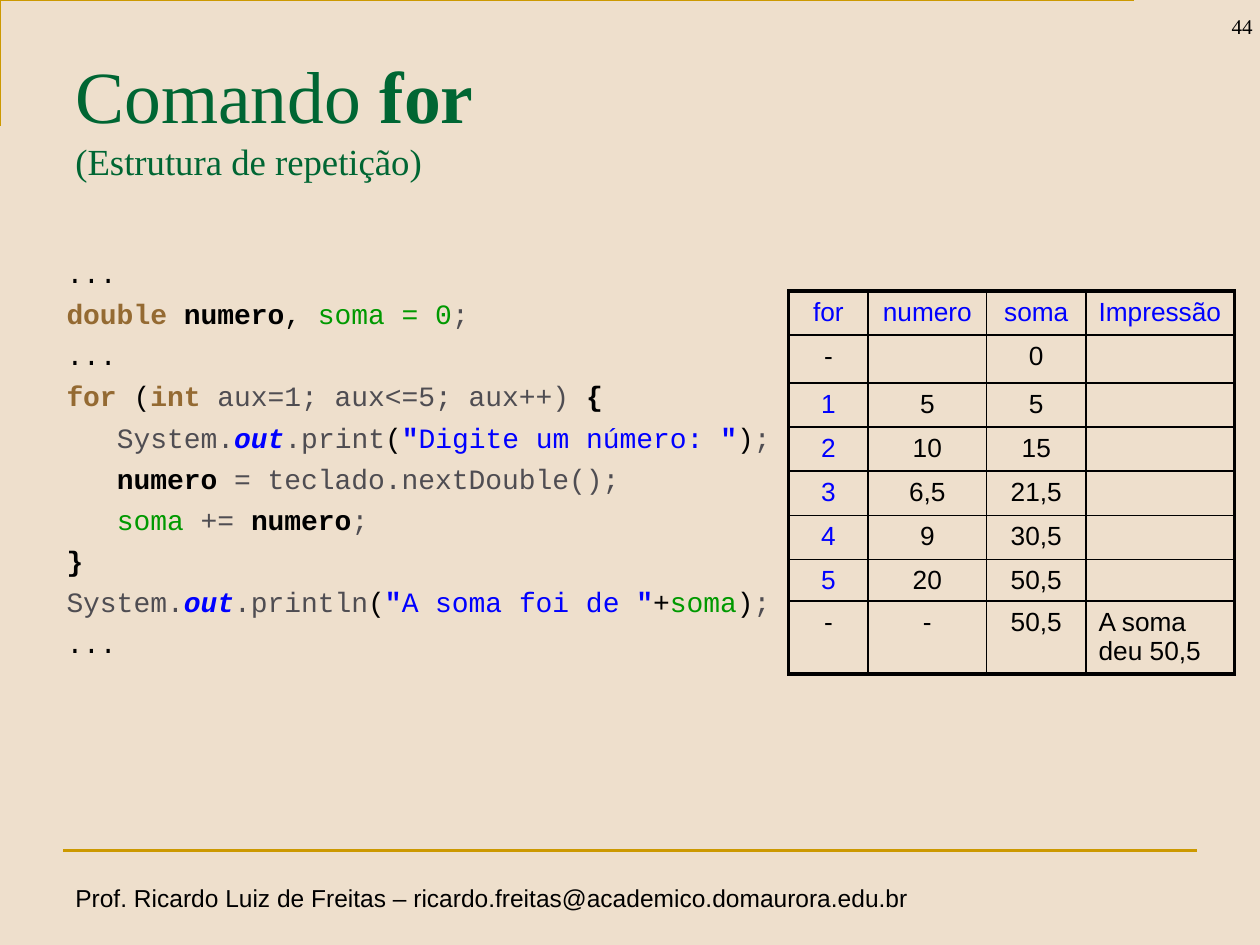
from typing import NamedTuple

from lxml import etree
from pptx import Presentation
from pptx.dml.color import RGBColor
from pptx.enum.shapes import MSO_CONNECTOR
from pptx.enum.text import MSO_ANCHOR, PP_ALIGN
from pptx.oxml.ns import qn
from pptx.util import Inches, Pt

BACKGROUND = RGBColor(0xEE, 0xDF, 0xCC)
GOLD = RGBColor(0xCC, 0x99, 0x00)
GREEN = RGBColor(0x00, 0x66, 0x33)
BLACK = RGBColor(0x00, 0x00, 0x00)
BROWN = RGBColor(0x94, 0x6A, 0x32)
LIME = RGBColor(0x00, 0x99, 0x00)
GRAY = RGBColor(0x4F, 0x4D, 0x52)
BLUE = RGBColor(0x00, 0x00, 0xFF)

STRAIGHT = MSO_CONNECTOR.STRAIGHT
TOP, MIDDLE, BOTTOM = MSO_ANCHOR.TOP, MSO_ANCHOR.MIDDLE, MSO_ANCHOR.BOTTOM
LEFT, CENTER, RIGHT = PP_ALIGN.LEFT, PP_ALIGN.CENTER, PP_ALIGN.RIGHT


class Style(NamedTuple):
    color: RGBColor
    bold: bool = False
    italic: bool = False


class Span(NamedTuple):
    text: str
    style: Style


class CodeLine(NamedTuple):
    spans: list[Span]
    indent: float = 0


PLAIN = Style(BLACK)
STRONG = Style(BLACK, bold=True)
KEYWORD = Style(BROWN, bold=True)
CODE = Style(GRAY)
TOTAL = Style(LIME)
FIELD = Style(BLUE, bold=True, italic=True)
QUOTE = Style(BLUE, bold=True)
STRING = Style(BLUE)

INDENT = 0.4
ELLIPSIS = CodeLine([Span("...", PLAIN)])


def print_call(method: str, message: str) -> list[Span]:
    return [Span("System.", CODE), Span("out", FIELD), Span(method, CODE),
            Span("(", PLAIN), Span('"', QUOTE), Span(message, STRING), Span('"', QUOTE)]


CODE_LINES = [
    ELLIPSIS,
    CodeLine([Span("double ", KEYWORD), Span("numero", STRONG), Span(", ", PLAIN),
              Span("soma = 0", TOTAL), Span(";", CODE)]),
    ELLIPSIS,
    CodeLine([Span("for", KEYWORD), Span(" (", PLAIN), Span("int ", KEYWORD),
              Span("aux=1; aux<=5; aux++) ", CODE), Span("{", STRONG)]),
    CodeLine(print_call(".print", "Digite um número: ")
             + [Span(")", PLAIN), Span(";", CODE)], INDENT),
    CodeLine([Span("numero", STRONG), Span(" = teclado.nextDouble();", CODE)], INDENT),
    CodeLine([Span("soma ", TOTAL), Span("+= ", CODE), Span("numero", STRONG),
              Span(";", CODE)], INDENT),
    CodeLine([Span("}", STRONG)]),
    CodeLine(print_call(".println", "A soma foi de ")
             + [Span("+", PLAIN), Span("soma", TOTAL), Span(")", PLAIN), Span(";", CODE)]),
    ELLIPSIS,
]

TRACE = [
    ("for", "numero", "soma", "Impressão"),
    ("-", "", "0", ""),
    ("1", "5", "5", ""),
    ("2", "10", "15", ""),
    ("3", "6,5", "21,5", ""),
    ("4", "9", "30,5", ""),
    ("5", "20", "50,5", ""),
    ("-", "-", "50,5", "A soma deu 50,5"),
]
COLUMN_WIDTHS = [0.63, 0.94, 0.79, 1.18]
ROW_HEIGHTS = [0.35, 0.38, 0.35, 0.35, 0.35, 0.35, 0.33, 0.56]


def add_frame(s, left: float, top: float, width: float, height: float,
              anchor=TOP, wrap: bool = True):
    tf = s.shapes.add_textbox(Inches(left), Inches(top), Inches(width), Inches(height)).text_frame
    tf.word_wrap = wrap
    tf.vertical_anchor = anchor
    return tf


def set_font(p, name: str, size: float, color: RGBColor = BLACK) -> None:
    p.font.name = name
    p.font.size = Pt(size)
    p.font.color.rgb = color


def add_span(p, span: Span) -> None:
    r = p.add_run()
    r.text = span.text
    r.font.color.rgb = span.style.color
    r.font.bold = span.style.bold
    r.font.italic = span.style.italic


def add_label(tf, text: str, name: str, size: float, align=LEFT) -> None:
    p = tf.paragraphs[0]
    p.text = text
    p.alignment = align
    set_font(p, name, size)


def add_rules(s) -> None:
    builder = s.shapes.build_freeform(0.42, 0.92, scale=Inches(1))
    builder.add_line_segments([(0.42, 0.25), (9.42, 0.25)], close=False)
    corner = builder.convert_to_shape()
    corner.shadow.inherit = False
    corner.fill.background()
    footer_rule = s.shapes.add_connector(
        STRAIGHT, Inches(0.5), Inches(6.75), Inches(9.5), Inches(6.75))
    etree.SubElement(footer_rule._element.spPr, qn("a:effectLst"))
    for rule in (corner, footer_rule):
        rule.line.color.rgb = GOLD
        rule.line.width = Pt(1.5)


def add_title(s) -> None:
    p = add_frame(s, 0.5, 0.3, 9, 1.25, MIDDLE).paragraphs[0]
    set_font(p, "Times New Roman", 42, GREEN)
    add_span(p, Span("Comando ", Style(GREEN)))
    add_span(p, Span("for", Style(GREEN, bold=True)))
    p.add_line_break()
    add_span(p, Span("(Estrutura de repetição)", Style(GREEN)))
    p.runs[-1].font.size = Pt(21)


def add_code(s) -> None:
    tf = add_frame(s, 0.43, 1.98, 5.83, 3.97)
    for i, line in enumerate(CODE_LINES):
        p = tf.add_paragraph() if i else tf.paragraphs[0]
        p.space_before = Pt(4.3)
        set_font(p, "Courier New", 16)
        p._p.get_or_add_pPr().set("marL", str(Inches(line.indent)))
        for span in line.spans:
            add_span(p, span)


def set_border(cell, side: str, width: float) -> None:
    ln = etree.SubElement(cell._tc.get_or_add_tcPr(), qn(f"a:ln{side}"), w=str(Pt(width)))
    fill = etree.SubElement(ln, qn("a:solidFill"))
    etree.SubElement(fill, qn("a:srgbClr"), val=str(BLACK))


def add_trace_table(s) -> None:
    last_row, last_col = len(ROW_HEIGHTS) - 1, len(COLUMN_WIDTHS) - 1
    table = s.shapes.add_table(
        len(ROW_HEIGHTS), len(COLUMN_WIDTHS), Inches(6.26), Inches(2.31),
        Inches(sum(COLUMN_WIDTHS)), Inches(sum(ROW_HEIGHTS))).table
    table.first_row = table.horz_banding = False
    for column, width in zip(table.columns, COLUMN_WIDTHS):
        column.width = Inches(width)
    for row, height in zip(table.rows, ROW_HEIGHTS):
        row.height = Inches(height)
    for i, values in enumerate(TRACE):
        for j, value in enumerate(values):
            cell = table.cell(i, j)
            cell.margin_top, cell.margin_bottom = Inches(0.05), Inches(0.03)
            outer = {"L": j == 0, "R": j == last_col, "T": i == 0, "B": i == last_row}
            for side, is_outer in outer.items():
                set_border(cell, side, 2.25 if is_outer else 1)
            cell.fill.background()
            p = cell.text_frame.paragraphs[0]
            p.alignment = LEFT if j == last_col else CENTER
            is_blue = i == 0 or (j == 0 and value != "-")
            set_font(p, "Arial", 15, BLUE if is_blue else BLACK)
            if value:
                p.add_run().text = value
            else:
                p._p.get_or_add_endParaRPr().set("sz", "1500")


prs = Presentation()
prs.slide_width, prs.slide_height = Inches(10), Inches(7.5)
s = prs.slides.add_slide(prs.slide_layouts[6])
s.background.fill.solid()
s.background.fill.fore_color.rgb = BACKGROUND

add_label(add_frame(s, 0.5, 6.96, 6.86, 0.34, wrap=False),
          "Prof. Ricardo Luiz de Freitas – ricardo.freitas@academico.domaurora.edu.br",
          "Arial", 14)
add_rules(s)
add_label(add_frame(s, 9.29, -0.14, 0.75, 0.5, BOTTOM), "44", "Times New Roman", 12, RIGHT)
add_title(s)
add_code(s)
add_trace_table(s)
prs.save("out.pptx")
